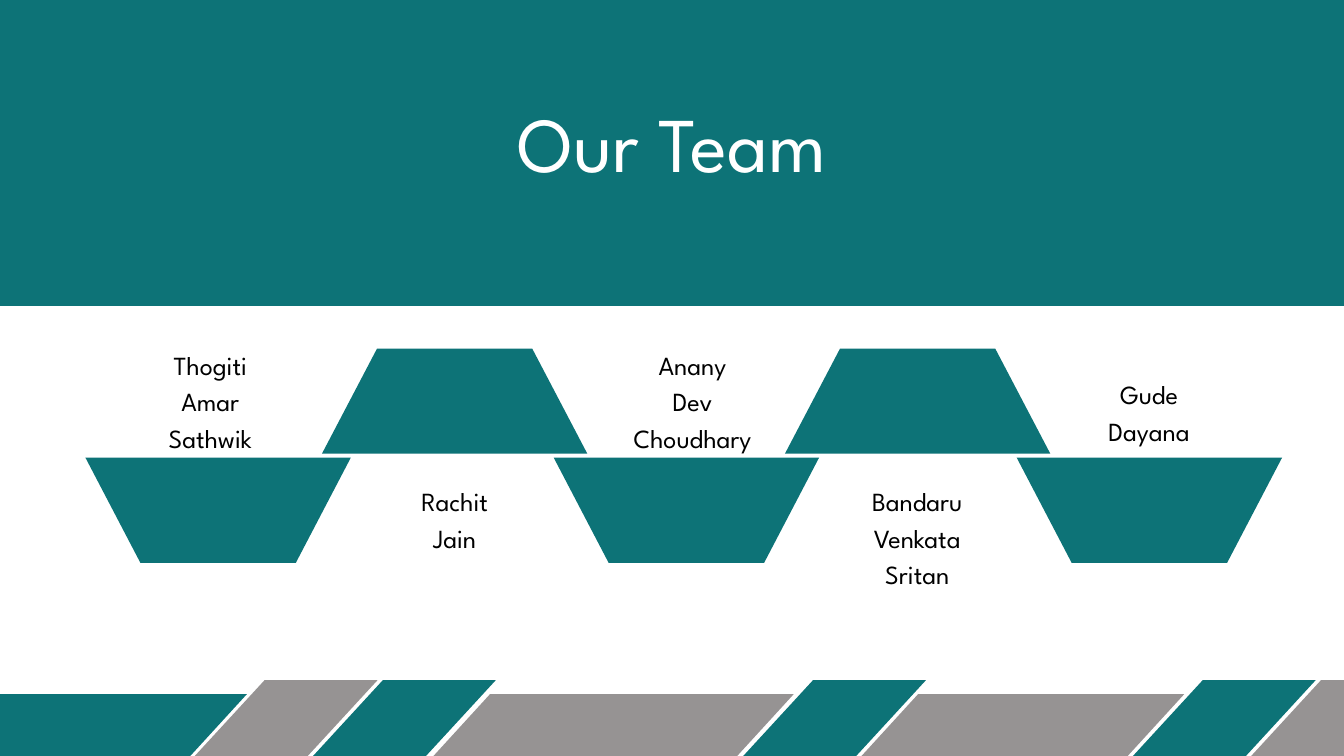
"""Build the team slide: title band, five names around trapezoids, striped footer."""
from pptx import Presentation
from pptx.dml.color import RGBColor
from pptx.enum import shapes, text
from pptx.util import Cm, Pt

TEAL = RGBColor(0x0D, 0x73, 0x77)
GREY = RGBColor(0x96, 0x93, 0x93)
WHITE = RGBColor(0xFF, 0xFF, 0xFF)
BLACK = RGBColor(0, 0, 0)


class TeamSlide:
    font = "League Spartan"

    def __init__(self, slide):
        self.slide = slide

    def paint(self, shape, color):
        shape.shadow.inherit = False
        shape.fill.solid()
        shape.fill.fore_color.rgb = color
        shape.line.fill.background()

    def band(self, left, top, width, height, color):
        band = self.slide.shapes.add_shape(
            shapes.MSO_SHAPE.RECTANGLE, Cm(left), Cm(top), Cm(width), Cm(height))
        self.paint(band, color)

    def polygon(self, points, color):
        start, *rest = [(Cm(x), Cm(y)) for x, y in points]
        builder = self.slide.shapes.build_freeform(*start)
        builder.add_line_segments(rest, close=True)
        self.paint(builder.convert_to_shape(), color)

    def slanted(self, left, top, width, height, slant, color):
        right, bottom = left + width, top + height
        self.polygon([(left + slant, top), (right, top),
                      (right - slant, bottom), (left, bottom)], color)

    def trapezoid(self, left, wide_y, narrow_y, width=10.03, inset=2.08):
        right = left + width
        self.polygon([(left, wide_y), (right, wide_y),
                      (right - inset, narrow_y), (left + inset, narrow_y)], TEAL)

    def set_text(self, box, lines, size, spacing, color):
        frame = box.text_frame
        frame.word_wrap = True
        frame.auto_size = text.MSO_AUTO_SIZE.NONE
        frame.vertical_anchor = text.MSO_ANCHOR.TOP
        frame.margin_left = frame.margin_right = 0
        frame.margin_top = frame.margin_bottom = 0
        frame.text = "\n".join(lines)
        for paragraph in frame.paragraphs:
            paragraph.alignment = text.PP_ALIGN.CENTER
            paragraph.line_spacing = Pt(spacing)
            paragraph.font.name = self.font
            paragraph.font.size = Pt(size)
            paragraph.font.color.rgb = color

    def title(self, words, left, top, width, height):
        title = self.slide.shapes.title
        title.left, title.top = Cm(left), Cm(top)
        title.width, title.height = Cm(width), Cm(height)
        title.element.getparent().append(title.element)
        self.set_text(title, [words], 83, 83, WHITE)

    def member(self, name, left, top, width):
        lines = name.split()
        box = self.slide.shapes.add_textbox(
            Cm(left), Cm(top), Cm(width), Cm(1.37 * len(lines)))
        self.set_text(box, lines, 28, 39.2, BLACK)


def main():
    deck = Presentation()
    deck.slide_width, deck.slide_height = Cm(50.8), Cm(28.575)
    team = TeamSlide(deck.slides.add_slide(deck.slide_layouts[5]))

    for left, width, color in [(-2.87, 12.2, TEAL), (16.38, 13.62, GREY),
                               (32.56, 12.2, GREY)]:
        team.slanted(left, 26.24, width, 2.34, 2.14, color)
    for left, color in [(6.88, GREY), (11.35, TEAL), (27.61, TEAL),
                        (42.34, TEAL), (46.81, GREY)]:
        team.slanted(left, 25.71, 7.39, 3.39, 3.12, color)

    for left in (12.17, 29.67):
        team.trapezoid(left, 17.15, 13.18)
    for left in (3.23, 20.93, 38.43):
        team.trapezoid(left, 17.3, 21.28)

    team.band(-0.86, -1.22, 52.5, 12.78, TEAL)
    team.title("Our Team", 16.54, 4.17, 17.73, 3.05)

    for name, left, top, width in [
        ("Thogiti Amar Sathwik", 4.52, 13, 6.86),
        ("Rachit Jain", 14.05, 18.16, 6.27),
        ("Anany Dev Choudhary", 23.19, 13, 5.97),
        ("Bandaru Venkata Sritan", 30.48, 18.16, 8.38),
        ("Gude Dayana", 39.24, 14.12, 8.38),
    ]:
        team.member(name, left, top, width)

    deck.save("out.pptx")


if __name__ == "__main__":
    main()
